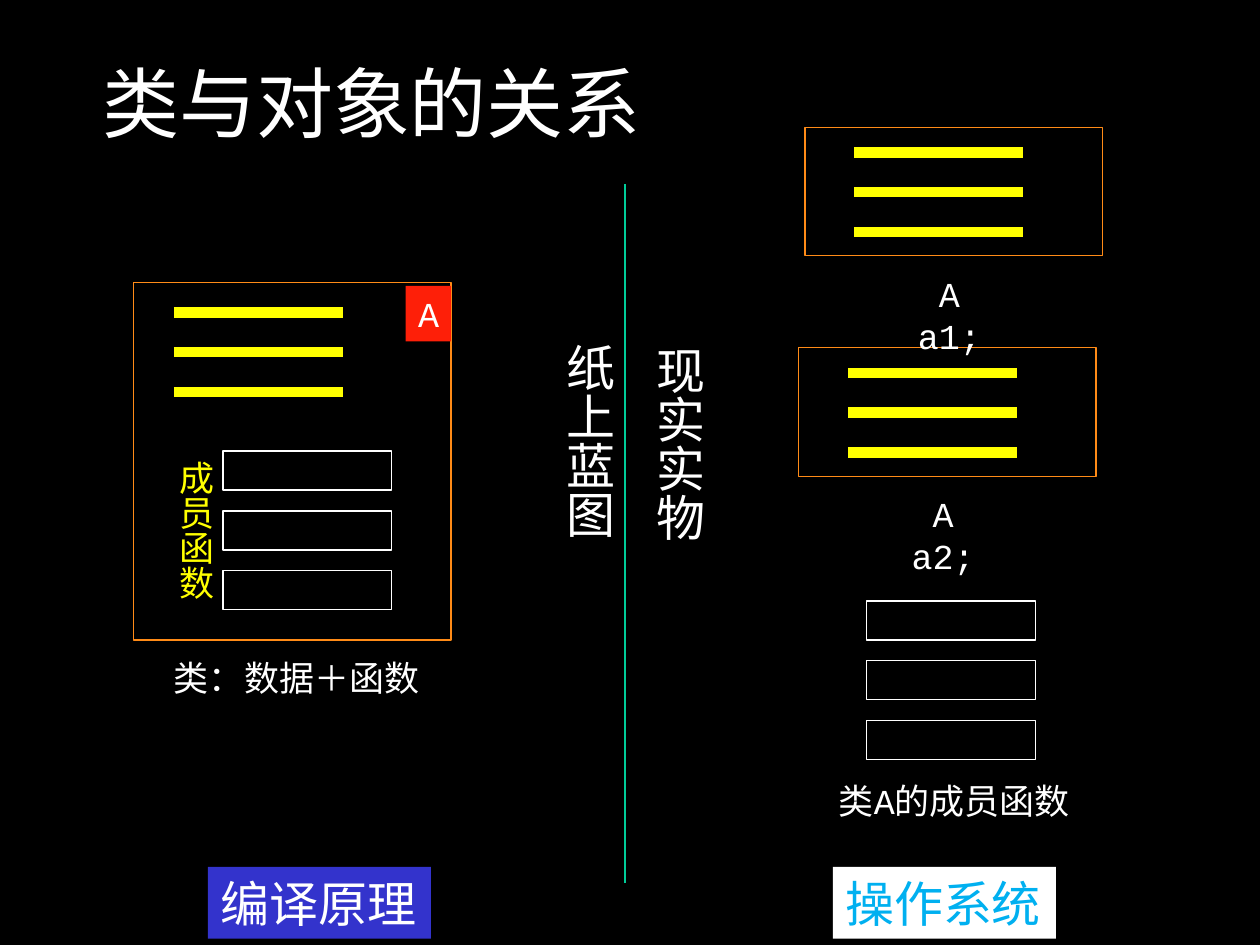
from lxml.etree import SubElement
from pptx import Presentation
from pptx.dml.color import RGBColor
from pptx.enum.shapes import MSO_CONNECTOR, MSO_SHAPE
from pptx.enum.text import MSO_ANCHOR, MSO_AUTO_SIZE, PP_ALIGN
from pptx.oxml.ns import qn
from pptx.util import Inches, Pt

WHITE, BLACK, YELLOW, ORANGE = "FFFFFF", "000000", "FFFF00", "FF8B17"
LATIN, CHINESE = "Courier New", "Noto Sans CJK SC"

# Content
TITLE = "类与对象的关系"
OBJECTS = [("A a2;", 6.34, 2.76), ("A a1;", 6.39, 1.01)]  # label, left, top
SIDES = [("纸上蓝图", 4.29, 2.63), ("现实实物", 5.0, 2.65)]
COURSES = [("操作系统", 6.61, WHITE, "00B0F0"),  # text, left, fill, font colour
           ("编译原理", 1.65, "3333CC", WHITE)]

# Rules for the repeated parts
FIELD_COUNT, FIELD_LENGTH, FIELD_STEP = 3, 1.34, 0.315
METHOD_COUNT, METHOD_SIZE, METHOD_STEP = 3, (1.34, 0.31), 0.475


def rgb(colour):
    return RGBColor.from_string(colour)


def write(shape, text, size, colour, font=LATIN, align=None, wrap=False,
          vertical=False):
    frame = shape.text_frame
    frame.word_wrap = wrap
    frame.auto_size = MSO_AUTO_SIZE.SHAPE_TO_FIT_TEXT
    frame.vertical_anchor = MSO_ANCHOR.TOP
    if vertical:
        frame._txBody.bodyPr.set("vert", "eaVert")
    paragraph = frame.paragraphs[0]
    paragraph.alignment = align or PP_ALIGN.LEFT
    run = paragraph.add_run()
    run.text = text
    run.font.size = Pt(size)
    run.font.name = font
    run.font.color.rgb = rgb(colour)
    SubElement(run.font._element, qn("a:ea"), typeface=CHINESE)


def label(parent, text, left, top, width, height, size=20, colour=WHITE,
          **options):
    box = parent.add_textbox(*map(Inches, (left, top, width, height)))
    write(box, text, size, colour, **options)


def rectangle(parent, left, top, width, height, line=None, fill=None):
    shape = parent.add_shape(MSO_SHAPE.RECTANGLE,
                             *map(Inches, (left, top, width, height)))
    shape.shadow.inherit = False
    if fill:
        shape.fill.solid()
        shape.fill.fore_color.rgb = rgb(fill)
    else:
        shape.fill.background()
    if line:
        shape.line.color.rgb = rgb(line)
        shape.line.width = Pt(0.75)
    else:
        shape.line.fill.background()
    return shape


def straight(parent, x1, y1, x2, y2, colour, width):
    line = parent.add_connector(MSO_CONNECTOR.STRAIGHT,
                                *map(Inches, (x1, y1, x2, y2)))
    line.line.color.rgb = rgb(colour)
    line.line.width = Pt(width)
    SubElement(line._element.spPr, qn("a:effectLst"))


def data_fields(parent, left, top):
    for i in range(FIELD_COUNT):
        y = top + i * FIELD_STEP
        straight(parent, left, y, left + FIELD_LENGTH, y, YELLOW, 6)


def methods(parent, left, top):
    for i in range(METHOD_COUNT):
        rectangle(parent, left, top + i * METHOD_STEP, *METHOD_SIZE, line=WHITE)


def main():
    deck = Presentation()
    deck.slide_width, deck.slide_height = Inches(10), Inches(7.5)
    slide = deck.slides.add_slide(deck.slide_layouts[5])
    slide.background.fill.solid()
    slide.background.fill.fore_color.rgb = rgb(BLACK)
    shapes = slide.shapes

    def group():
        return shapes.add_group_shape().shapes

    # Title
    title = shapes.title
    title.left, title.top = Inches(0.71), Inches(0.17)
    title.width, title.height = Inches(8.5), Inches(1.28)
    write(title, TITLE, 44, WHITE, wrap=True)
    title.text_frame.auto_size = MSO_AUTO_SIZE.NONE
    title.text_frame.vertical_anchor = MSO_ANCHOR.MIDDLE

    # Objects: each holds its own data
    for name, left, top in OBJECTS:
        instance = group()
        rectangle(instance, left, top, 2.36, 1.02, line=ORANGE)
        data_fields(instance, left + 0.39, top + 0.2)
        label(instance, name, left + 0.63, top + 1.1, 1.03, 0.44,
              align=PP_ALIGN.CENTER, wrap=True)

    # Class A: data and functions
    blueprint = group()
    rectangle(blueprint, 1.06, 2.24, 2.52, 2.84, line=ORANGE)
    data_fields(blueprint, 1.38, 2.48)
    methods(blueprint, 1.77, 3.58)
    label(blueprint, "类：数据＋函数", 1.28, 5.16, 2.15, 0.44,
          align=PP_ALIGN.CENTER)
    tag = rectangle(blueprint, 3.22, 2.27, 0.36, 0.44, fill="FE1F08")
    write(tag, "A", 20, WHITE, align=PP_ALIGN.CENTER)
    label(blueprint, "成员函数", 1.24, 3.56, 0.53, 1.2, colour=YELLOW,
          align=PP_ALIGN.CENTER, vertical=True)

    # Member functions shared by the objects
    shared = group()
    methods(shared, 6.88, 4.77)
    caption = rectangle(shared, 6.49, 6.14, 2.17, 0.44, line=BLACK)
    write(caption, "类A的成员函数", 20, WHITE, align=PP_ALIGN.CENTER)

    # Divider, courses and the names of the two sides
    straight(shapes, 4.96, 1.46, 4.96, 7.01, "00CC99", 0.75)
    for name, left, fill, colour in COURSES:
        course = rectangle(shapes, left, 6.88, 1.77, 0.57, fill=fill)
        write(course, name, 28, colour)
    for name, left, top in SIDES:
        label(shapes, name, left, top, 0.67, 2.14, size=28, font=CHINESE,
              vertical=True)

    deck.save("out.pptx")


if __name__ == "__main__":
    main()
